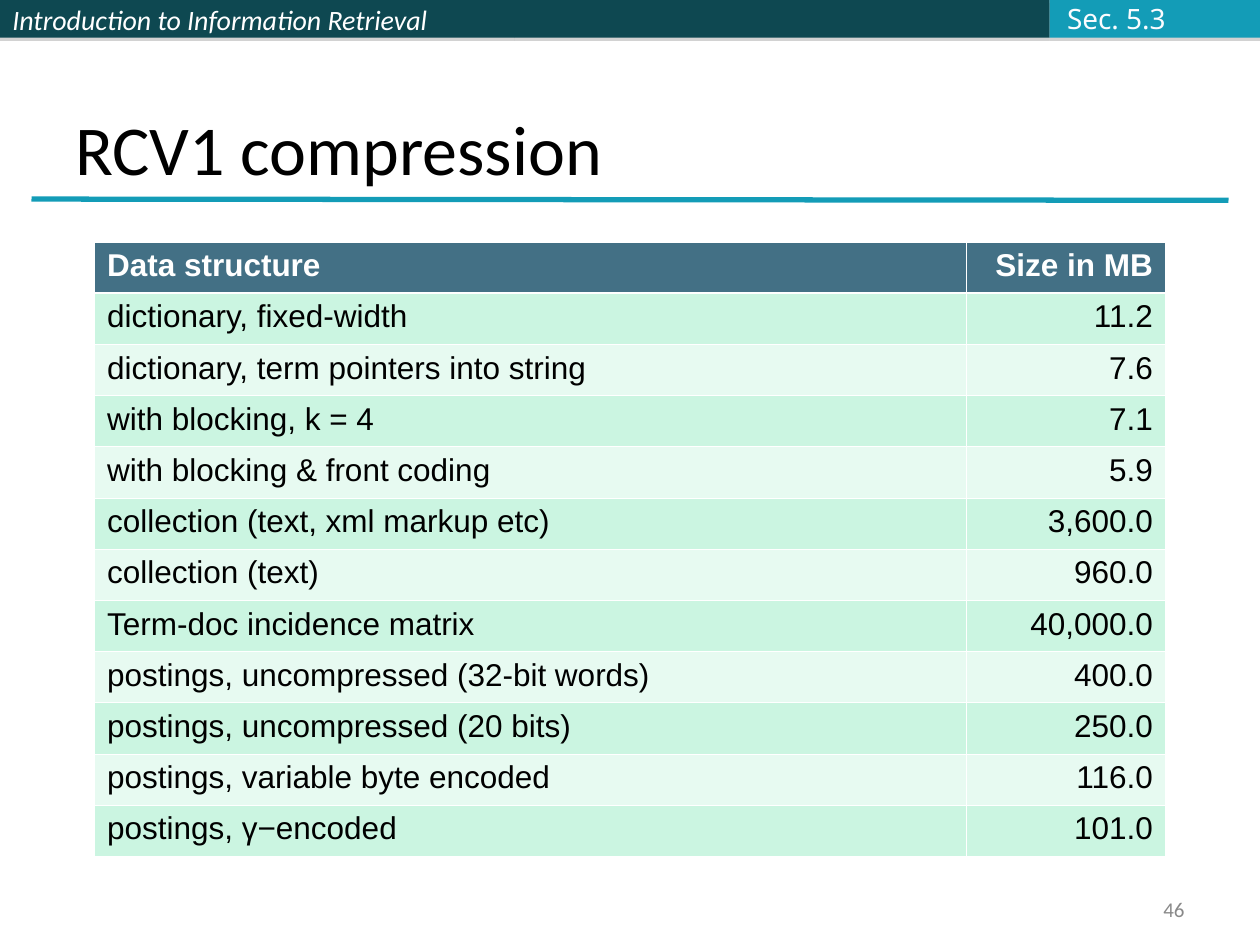
from dataclasses import dataclass

from lxml import etree
from pptx import Presentation
from pptx import util as u
from pptx.dml.color import RGBColor
from pptx.enum import shapes, text
from pptx.oxml import parse_xml
from pptx.oxml.ns import nsdecls, qn


@dataclass(frozen=True)
class Theme:
    dark: str = "0E4851"
    accent: str = "139CB7"
    header: str = "437085"
    bands: tuple = ("CBF5E1", "E7FAF1")
    white: str = "FFFFFF"
    black: str = "000000"
    section: str = "FBFCFF"
    muted: str = "898989"
    heading_font: str = "Calibri"
    table_font: str = "Arial"
    section_font: str = "Noto Sans"
    title_size: int = 40
    table_size: int = 18
    bar_size: int = 16
    number_size: int = 12


THEME = Theme()

ROWS = [
    ("Data structure", "Size in MB"),
    ("dictionary, fixed-width", "11.2"),
    ("dictionary, term pointers into string", "7.6"),
    ("with blocking, k = 4", "7.1"),
    ("with blocking & front coding", "5.9"),
    ("collection (text, xml markup etc)", "3,600.0"),
    ("collection (text)", "960.0"),
    ("Term-doc incidence matrix", "40,000.0"),
    ("postings, uncompressed (32-bit words)", "400.0"),
    ("postings, uncompressed (20 bits)", "250.0"),
    ("postings, variable byte encoded", "116.0"),
    ("postings, γ−encoded", "101.0"),
]


def inches(box):
    return [u.Inches(value) for value in box]


def write(frame, words, font, size, color, align=text.PP_ALIGN.LEFT,
          bold=False, italic=False):
    frame.text = words
    para = frame.paragraphs[0]
    para.alignment = align
    span = para.runs[0].font
    span.name, span.size = font, u.Pt(size)
    span.bold, span.italic = bold, italic
    span.color.rgb = RGBColor.from_string(color)


def add_label(page, box, words, font, size, color, wrap=True,
              anchor=text.MSO_ANCHOR.MIDDLE, align=text.PP_ALIGN.LEFT):
    frame = page.shapes.add_textbox(*inches(box)).text_frame
    frame.word_wrap = wrap
    frame.vertical_anchor = anchor
    write(frame, words, font, size, color, align)


def add_bar(page, box, color):
    bar = page.shapes.add_shape(shapes.MSO_SHAPE.RECTANGLE, *inches(box))
    bar.fill.solid()
    bar.fill.fore_color.rgb = RGBColor.from_string(color)
    bar.line.fill.background()
    # Thin hard shadow below the bar
    bar.shadow.inherit = False
    effects = bar._element.spPr.find(qn("a:effectLst"))
    effects.append(parse_xml(
        f'<a:outerShdw {nsdecls("a")} blurRad="0" dist="{u.Pt(1.8)}" '
        'dir="5400000" rotWithShape="0"><a:srgbClr val="808080">'
        '<a:alpha val="35000"/></a:srgbClr></a:outerShdw>'))
    return bar


def add_header(page, box):
    left, top, width, height = box
    middle, right = left + 4.08, left + 8.33
    course = add_bar(page, (left, top, middle - left, height), THEME.dark)
    course.text_frame.vertical_anchor = text.MSO_ANCHOR.MIDDLE
    write(course.text_frame, "Introduction to Information Retrieval",
          THEME.heading_font, THEME.bar_size, THEME.white, italic=True)
    add_bar(page, (middle, top, right - middle, height), THEME.dark)
    add_bar(page, (right, top, left + width - right, height), THEME.accent)
    add_label(page, (right + 0.04, top - 0.04, 0.98, 0.37), "Sec. 5.3",
              THEME.section_font, THEME.bar_size, THEME.section, wrap=False)


def add_title(page, box):
    left, top, width, height = box
    # Rule under the title, a little wider than the text
    rule = page.shapes.add_connector(
        shapes.MSO_CONNECTOR.STRAIGHT,
        *inches((left - 0.25, top + height + 0.03,
                 left + width + 0.25, top + height + 0.04)))
    rule.line.color.rgb = RGBColor.from_string(THEME.accent)
    rule.line.width = u.Pt(3)
    etree.SubElement(rule._element.spPr, qn("a:effectLst"))
    add_label(page, box, "RCV1 compression", THEME.heading_font,
              THEME.title_size, THEME.black, anchor=text.MSO_ANCHOR.BOTTOM)


def set_borders(cell, row):
    widths = {"L": 0.45, "R": 0.45,
              "T": 1.47 if row == 1 else 0.45,
              "B": 1.47 if row == 0 else 0.45}
    properties = cell._tc.get_or_add_tcPr()
    for side, width in widths.items():
        properties.append(parse_xml(
            f'<a:ln{side} {nsdecls("a")} w="{u.Pt(width)}"><a:solidFill>'
            f'<a:srgbClr val="{THEME.white}"/></a:solidFill></a:ln{side}>'))


def add_size_table(page, box):
    table = page.shapes.add_table(len(ROWS), 2, *inches(box)).table
    for column, width in zip(table.columns, (6.92, box[2] - 6.92)):
        column.width = u.Inches(width)
    aligns = (text.PP_ALIGN.LEFT, text.PP_ALIGN.RIGHT)
    for row, values in enumerate(ROWS):
        table.rows[row].height = u.Inches(box[3] / len(ROWS))
        is_header = row == 0
        fill = THEME.header if is_header else THEME.bands[(row - 1) % 2]
        color = THEME.white if is_header else THEME.black
        for column, value in enumerate(values):
            cell = table.cell(row, column)
            set_borders(cell, row)
            cell.fill.solid()
            cell.fill.fore_color.rgb = RGBColor.from_string(fill)
            write(cell.text_frame, value, THEME.table_font, THEME.table_size,
                  color, aligns[column], bold=is_header)


def add_page_number(page, box):
    add_label(page, box, "46", THEME.heading_font, THEME.number_size,
              THEME.muted, align=text.PP_ALIGN.RIGHT)


def main():
    deck = Presentation()
    deck.slide_width, deck.slide_height = u.Inches(10), u.Inches(7.5)
    page = deck.slides.add_slide(deck.slide_layouts[6])
    add_header(page, (0, 0, 10, 0.3))
    add_title(page, (0.5, 0.3, 9, 1.25))
    add_size_table(page, (0.75, 1.92, 8.5, 4.88))
    add_page_number(page, (7.17, 7.08, 2.33, 0.27))
    deck.save("out.pptx")


if __name__ == "__main__":
    main()
